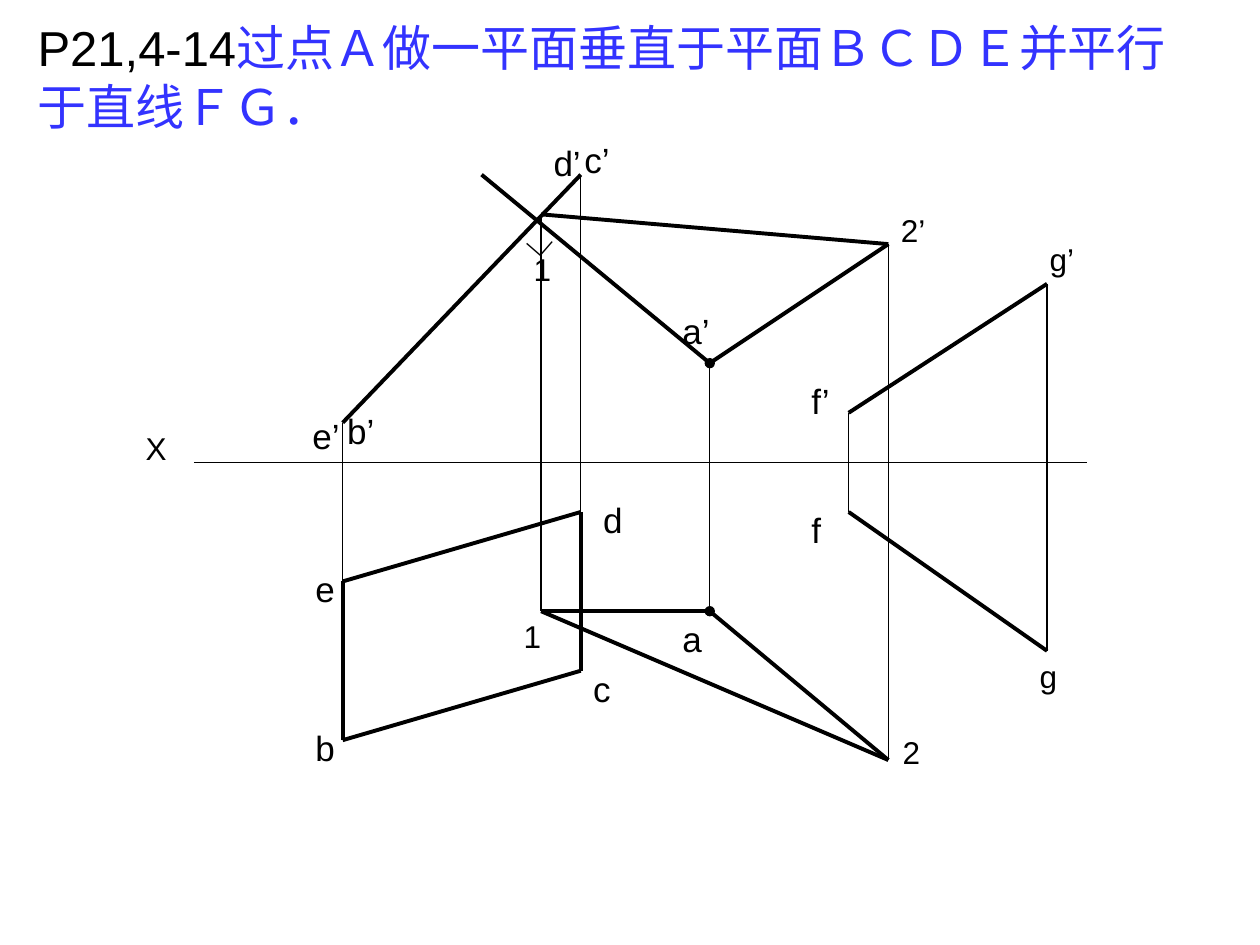
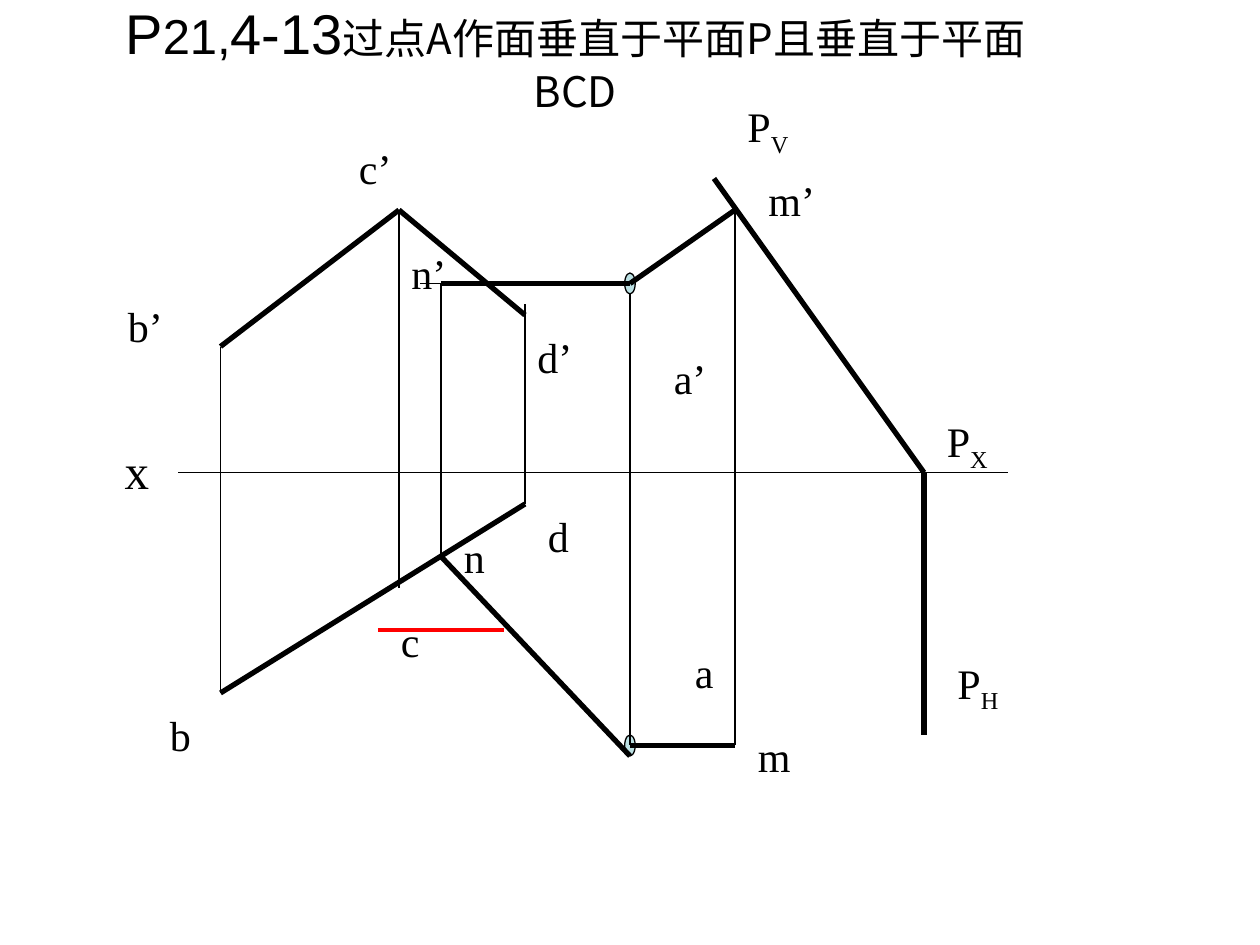
from itertools import pairwise
from lxml.etree import SubElement
from pptx import Presentation
from pptx.dml.color import RGBColor
from pptx.enum.shapes import MSO_CONNECTOR as Connector, MSO_SHAPE as Preset
from pptx.enum.text import MSO_ANCHOR as Anchor, PP_ALIGN as Align
from pptx.oxml.ns import qn
from pptx.util import Inches, Pt

COLORS = {"ink": "000000", "task": "3333FF", "angle": "FF0000", "dot": "BBE0E3"}
CJK = "Noto Sans CJK SC"
THIN = 0.74

EXERCISES = [
    {
        "title": [("P21,4-14", {}),
                  ("过点Ａ做一平面垂直于平面ＢＣＤＥ并平行于直线ＦＧ．", {"color": "task"})],
        "title_box": (0.2, 0.21, 9.49, 0.79),
        "title_format": {"size": 28},
        "origin": (2.72, 3.67), "cell": 2 / 25.4,
        "font": "Arial", "size": 20, "thick": 2.24,
        "points": {
            "x0": (-15, 0), "x1": (75, 0),
            "e'": (0, -4), "d'": (24, -29), "e": (0, 12), "d": (24, 5),
            "b": (0, 28), "c": (24, 21), "a'": (37, -10), "a": (37, 15),
            "f'": (51, -5), "g'": (71, -18), "f": (51, 5), "g": (71, 19),
            "1'": (20, -25), "1": (20, 15), "2'": (55, -22), "2": (55, 30),
            "normal": (14, -29),
        },
        "thin_lines": ["x0 x1", "e' e", "d' d", "f' f", "g' g", "1' 1", "2' 2"],
        "dotted_lines": ["a' a"],
        "thick_lines": ["e' d'", "e d c b e", "f' g'", "f g",
                        "normal a' 2' 1'", "1 a 2 1"],
        "dots": [],
        "angles": [],
        "label_width": 7,
        "labels": [
            ("X", -21.1, -4, {"size": 18}), ("e’", -4.3, -5.5, {}),
            ("b’", -0.8, -6, {}), ("c’", 23.1, -33.3, {}),
            ("d’", 20, -33, {"width": 11.6}), ("a’", 33, -16, {}),
            ("f’", 46, -9, {}), ("g’", 70, -23, {"size": 18}),
            ("e", -4, 10, {}), ("b", -4, 26, {}), ("d", 25, 3, {}),
            ("c", 24, 20, {}), ("f", 46, 4, {}), ("g", 69, 19, {"size": 18}),
            ("a", 33, 15, {}), ("1", 18, -22, {"size": 18, "width": 4}),
            ("∟", 16.8, -24.8, {"size": 18, "width": 5.5, "rotation": 311}),
            ("1", 17, 15, {"size": 18}), ("2’", 55, -26, {"size": 18}),
            ("2", 55.2, 26.7, {"size": 18}),
        ],
    },
    {
        "title": [("P", {}), ("21,", {"size": 28}), ("4-13", {}),
                  ("过点A作面垂直于平面P且垂直于平面BCD", {"size": 24, "font": CJK})],
        "title_box": (0.59, 0.13, 7.95, 0.65),
        "title_format": {"size": 32, "align": Align.CENTER},
        "origin": (0, 0), "cell": 1 / 12,
        "font": "Times New Roman", "size": 24, "thick": 3,
        "points": {
            "x0": (17, 45), "x1": (96, 45),
            "b'": (21, 33), "c'": (38, 20), "d'": (50, 30), "d'top": (50, 29),
            "b": (21, 66), "c": (38, 56), "d": (50, 48),
            "PV": (68, 17), "PX": (88, 45), "PH": (88, 70),
            "a'": (60, 27), "a'low": (60, 28), "a": (60, 71), "a_low": (60, 72),
            "n'": (42, 27), "n'left": (40, 27), "n": (42, 53),
            "m'": (70, 20), "m": (70, 71),
        },
        "thin_lines": ["x0 x1", "d d'top", "c' c", "b' b", "a'low a",
                       "a' n'left", "n n'", "m' m"],
        "dotted_lines": [],
        "thick_lines": ["d b", "d' c' b'", "PV PX PH", "a_low n", "n' a' m'", "a m"],
        "dots": ["a'", "a"],
        "angles": [
            [(39, 55), (39.6, 55.9), (40.2, 56.9), (41, 57),
             (41.9, 57.1), (43.4, 56.2), (44, 56)],
            [(67, 22), (67.7, 22.9), (68.3, 23.9), (69, 24), (69.7, 24.1),
             (70.6, 23.3), (71, 23), (71.5, 22.7), (71.8, 22.3), (72, 22)],
        ],
        "label_width": 6,
        "labels": [
            ("c’", 33, 13, {"width": 9}), ("b’", 11, 28, {"width": 7}),
            ("a’", 63, 33, {}), ("b", 15, 67, {"width": 8}), ("c", 37, 58, {}),
            ("a", 65, 61, {}), ("d’", 50, 31, {"width": 7.5}), ("d", 51, 48, {}),
            ("P", 70, 9, {"width": 9, "sub": "V"}),
            ("P", 89, 39, {"width": 8, "sub": "X"}),
            ("P", 90, 62, {"width": 8, "sub": "H"}),
            ("n", 43, 50, {}), ("n’", 38, 23, {"width": 7}),
            ("m’", 72, 16, {"width": 9}), ("m", 71, 69, {}),
            ("x", 10.7, 41.4, {"width": 4.3, "size": 28}),
        ],
    },
]


def rgb(name):
    return RGBColor.from_string(COLORS[name])


def add_text(slide, box, runs, *, size, font="Arial", color="ink", align=Align.LEFT,
             anchor=Anchor.TOP, before=0, rotation=0):
    holder = slide.shapes.add_textbox(*map(Inches, box))
    holder.rotation = rotation
    frame = holder.text_frame
    frame.word_wrap = True
    frame.vertical_anchor = anchor
    paragraph = frame.paragraphs[0]
    paragraph.alignment = align
    paragraph.space_before = Pt(before)
    for words, own in runs:
        run = paragraph.add_run()
        run.text = words
        run.font.size = Pt(own.get("size", size))
        run.font.name = own.get("font", font)
        run.font.color.rgb = rgb(own.get("color", color))
        properties = run.font._element
        SubElement(properties, qn("a:ea")).set("typeface", CJK)
        if "baseline" in own:
            properties.set("baseline", str(own["baseline"]))


def add_line(slide, start, end, width, dotted=False):
    edge = slide.shapes.add_connector(Connector.STRAIGHT, *map(Inches, start + end))
    edge.line.width = Pt(width)
    edge.line.color.rgb = rgb("ink")
    if dotted:
        outline = edge.line._get_or_add_ln()
        for side in ("headEnd", "tailEnd"):
            SubElement(outline, qn(f"a:{side}")).set("type", "oval")
    SubElement(edge._element.spPr, qn("a:effectLst"))


def add_dot(slide, center, cell):
    x, y = center
    dot = slide.shapes.add_shape(
        Preset.OVAL, *map(Inches, (x - cell / 2, y - cell, cell, 2 * cell)))
    dot.shadow.inherit = False
    dot.fill.solid()
    dot.fill.fore_color.rgb = rgb("dot")
    dot.line.color.rgb = rgb("ink")
    dot.line.width = Pt(THIN)


def bezier(controls, t):
    weights = ((1 - t) ** 3, 3 * t * (1 - t) ** 2, 3 * t ** 2 * (1 - t), t ** 3)
    return tuple(sum(w * v for w, v in zip(weights, axis)) for axis in zip(*controls))


def add_angle(slide, controls, steps=10):
    curve = [bezier(controls[i:i + 4], step / steps)
             for i in range(0, len(controls) - 1, 3) for step in range(1, steps + 1)]
    builder = slide.shapes.build_freeform(*controls[0], scale=Inches(1))
    builder.add_line_segments(curve, close=False)
    angle = builder.convert_to_shape()
    angle.shadow.inherit = False
    angle.fill.background()
    angle.line.color.rgb = rgb("angle")
    angle.line.width = Pt(2)


def draw_exercise(slide, exercise):
    cell = exercise["cell"]

    def place(spot):
        return tuple(start + cell * step for start, step in zip(exercise["origin"], spot))

    points = {name: place(spot) for name, spot in exercise["points"].items()}
    for name in exercise["dots"]:
        add_dot(slide, points[name], cell)
    for kind, width in (("thin_lines", THIN), ("dotted_lines", THIN),
                        ("thick_lines", exercise["thick"])):
        for chain in exercise[kind]:
            for start, end in pairwise(chain.split()):
                add_line(slide, points[start], points[end], width, kind == "dotted_lines")
    for controls in exercise["angles"]:
        add_angle(slide, [place(spot) for spot in controls])
    for words, column, row, own in exercise["labels"]:
        size = own.get("size", exercise["size"])
        width = own.get("width", exercise["label_width"]) * cell
        runs = [(words, {})]
        if "sub" in own:
            runs.append((own["sub"], {"baseline": -25000}))
        add_text(slide, (*place((column, row)), width, size / 60 + 0.1), runs, size=size,
                 font=exercise["font"], before=size * 0.625,
                 rotation=own.get("rotation", 0))
    add_text(slide, exercise["title_box"], exercise["title"], anchor=Anchor.MIDDLE,
             **exercise["title_format"])


deck = Presentation()
deck.slide_width, deck.slide_height = Inches(10), Inches(7.5)
for exercise in EXERCISES:
    draw_exercise(deck.slides.add_slide(deck.slide_layouts[6]), exercise)
deck.save("out.pptx")
